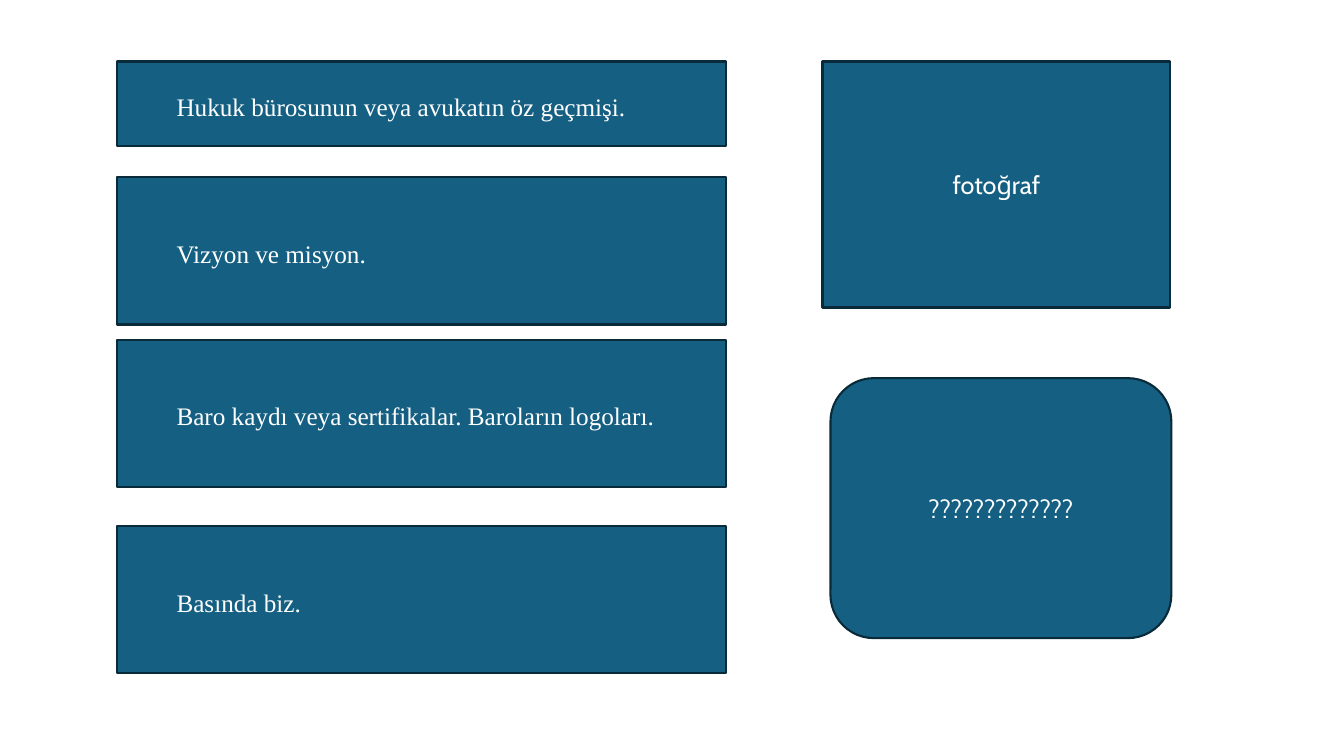
import dataclasses

import pptx
import pptx.dml.color
import pptx.enum.shapes
import pptx.enum.text
import pptx.slide
import pptx.text.text
import pptx.util

Cm = pptx.util.Cm
Pt = pptx.util.Pt
Shape = pptx.enum.shapes.MSO_SHAPE
Align = pptx.enum.text.PP_ALIGN

TEAL = pptx.dml.color.RGBColor(0x15, 0x60, 0x82)
NAVY = pptx.dml.color.RGBColor(0x09, 0x2A, 0x39)
WHITE = pptx.dml.color.RGBColor(0xFF, 0xFF, 0xFF)

SECTION_LEFT = 2.95
SECTION_WIDTH = 15.34
SECTION_INSET = 1.5


@dataclasses.dataclass(frozen=True)
class Section:
    text: str
    top: float
    height: float = 3.71


@dataclasses.dataclass(frozen=True)
class Panel:
    text: str
    left: float
    top: float
    width: float
    height: float
    outline: Shape


SECTIONS = [
    Section("Hukuk bürosunun veya avukatın öz geçmişi.", 1.55, 2.13),
    Section("Vizyon ve misyon.", 4.47),
    Section("Baro kaydı veya sertifikalar. Baroların logoları.", 8.56),
    Section("Basında biz.", 13.26),
]

PANELS = [
    Panel("fotoğraf", 20.73, 1.55, 8.76, 6.2, Shape.RECTANGLE),
    Panel("?????????????", 20.93, 9.53, 8.59, 6.55, Shape.ROUNDED_RECTANGLE),
]


def write_text(
    frame: pptx.text.text.TextFrame,
    text: str,
    *,
    font: str,
    align: Align,
    line_spacing: float = 1.0,
    space_after: float = 0,
) -> None:
    frame.word_wrap = True
    frame.vertical_anchor = pptx.enum.text.MSO_ANCHOR.MIDDLE
    para = frame.paragraphs[0]
    para.alignment = align
    para.line_spacing = line_spacing
    para.space_after = Pt(space_after)
    span = para.add_run()
    span.text = text
    span.font.name = font
    span.font.size = Pt(18)
    span.font.color.rgb = WHITE


def draw_box(
    page: pptx.slide.Slide,
    outline: Shape,
    left: float,
    top: float,
    width: float,
    height: float,
) -> pptx.text.text.TextFrame:
    box = page.shapes.add_shape(outline, Cm(left), Cm(top), Cm(width), Cm(height))
    box.shadow.inherit = False
    box.fill.solid()
    box.fill.fore_color.rgb = TEAL
    box.line.color.rgb = NAVY
    box.line.width = Pt(1.5)
    return box.text_frame


def draw_section(page: pptx.slide.Slide, section: Section) -> None:
    frame = draw_box(
        page, Shape.RECTANGLE, SECTION_LEFT, section.top, SECTION_WIDTH, section.height
    )
    frame.margin_left = Cm(SECTION_INSET)
    write_text(
        frame,
        section.text,
        font="Times New Roman",
        align=Align.LEFT,
        line_spacing=1.15,
        space_after=8,
    )


def draw_panel(page: pptx.slide.Slide, panel: Panel) -> None:
    frame = draw_box(
        page, panel.outline, panel.left, panel.top, panel.width, panel.height
    )
    write_text(frame, panel.text, font="Cabin", align=Align.CENTER)


def main() -> None:
    deck = pptx.Presentation()
    deck.slide_width = Cm(33.87)
    deck.slide_height = Cm(19.05)
    page = deck.slides.add_slide(deck.slide_layouts[6])
    for section in SECTIONS:
        draw_section(page, section)
    for panel in PANELS:
        draw_panel(page, panel)
    deck.save("out.pptx")


if __name__ == "__main__":
    main()
